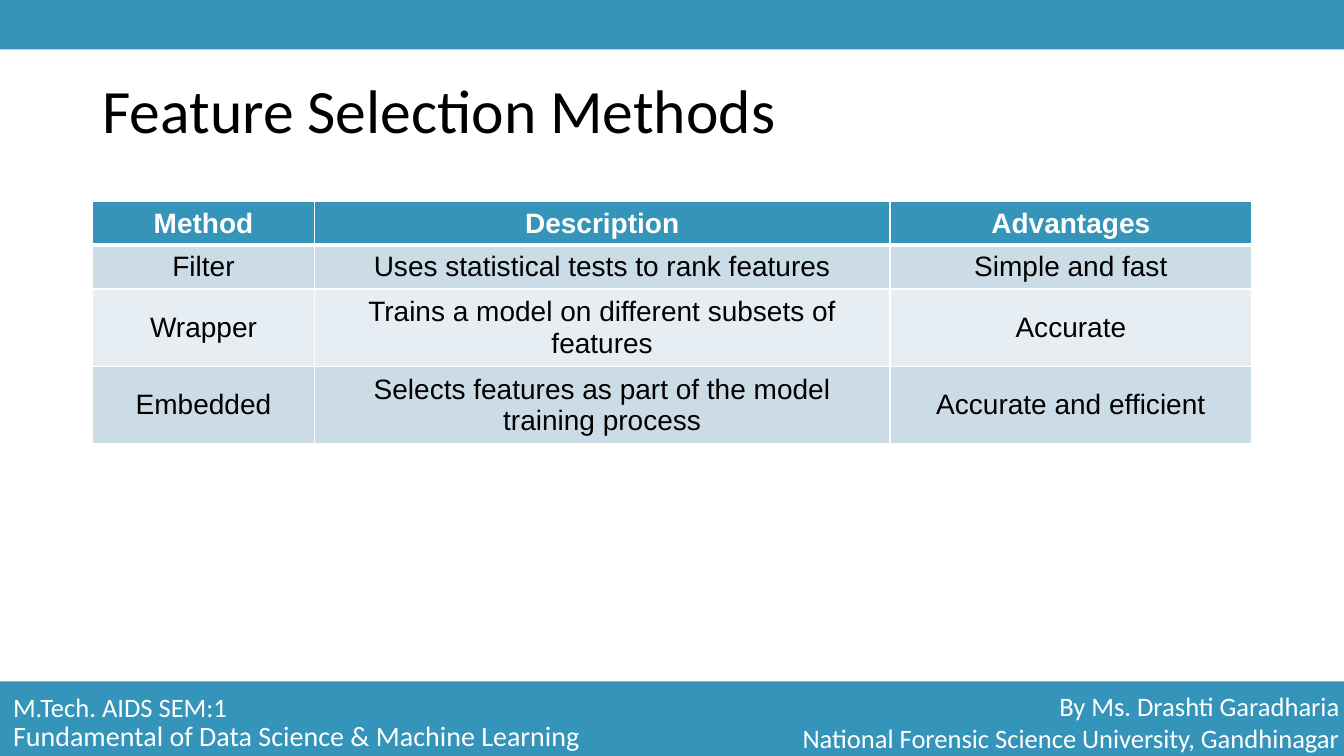
"""Builds the slide that compares feature selection methods in a table."""
from lxml import etree
from pptx import Presentation
from pptx.dml.color import RGBColor
from pptx.enum.shapes import MSO_SHAPE
from pptx.enum.text import MSO_ANCHOR, PP_ALIGN
from pptx.oxml.ns import qn
from pptx.util import Pt

RECTANGLE = MSO_SHAPE.RECTANGLE
TOP, MIDDLE = MSO_ANCHOR.TOP, MSO_ANCHOR.MIDDLE
LEFT, CENTER, RIGHT = PP_ALIGN.LEFT, PP_ALIGN.CENTER, PP_ALIGN.RIGHT

COLORS = {
    "accent": "3494BA",
    "white": "FFFFFF",
    "black": "000000",
    "odd": "CCDCE6",
    "even": "E7EEF3",
}
SLIDE_WIDTH, SLIDE_HEIGHT = 960, 540
FOOTER_HEIGHT = 53.3
COLUMN_WIDTHS = [158.4, 411.1, 258.5]
ROW_HEIGHT = 29.2
METHODS = [
    ("Method", "Description", "Advantages"),
    ("Filter", "Uses statistical tests to rank features", "Simple and fast"),
    ("Wrapper", "Trains a model on different subsets of features", "Accurate"),
    ("Embedded", "Selects features as part of the model training process",
     "Accurate and efficient"),
]


def rgb(name):
    """Return the named colour."""
    return RGBColor.from_string(COLORS[name])


def style_text(frame, font, size, color, align, bold=False):
    """Format every paragraph of a text frame."""
    for paragraph in frame.paragraphs:
        paragraph.alignment = align
        for run in paragraph.runs:
            run.font.name = font
            run.font.size = Pt(size)
            run.font.bold = bold
            run.font.color.rgb = rgb(color)


def add_band(slide, top, height):
    """Add a full-width accent band."""
    band = slide.shapes.add_shape(
        RECTANGLE, 0, Pt(top), Pt(SLIDE_WIDTH), Pt(height))
    band.shadow.inherit = False
    band.fill.solid()
    band.fill.fore_color.rgb = rgb("accent")
    band.line.fill.background()


def add_label(slide, text, box, size, color, align=LEFT, anchor=TOP):
    """Add a wrapped Calibri text box and return its frame."""
    frame = slide.shapes.add_textbox(*map(Pt, box)).text_frame
    frame.word_wrap = True
    frame.vertical_anchor = anchor
    frame.text = text
    style_text(frame, "Calibri", size, color, align)
    return frame


def add_borders(cell, bottom_width):
    """Draw white lines around a cell."""
    properties = cell._tc.get_or_add_tcPr()
    widths = {"a:lnL": 1, "a:lnR": 1, "a:lnT": 1, "a:lnB": bottom_width}
    for position, (tag, width) in enumerate(widths.items()):
        line = etree.Element(qn(tag), w=str(Pt(width)))
        fill = etree.SubElement(line, qn("a:solidFill"))
        etree.SubElement(fill, qn("a:srgbClr"), val=COLORS["white"])
        properties.insert(position, line)


def add_methods_table(slide, left, top):
    """Add the table of methods with a header and banded rows."""
    table = slide.shapes.add_table(
        len(METHODS), len(COLUMN_WIDTHS), Pt(left), Pt(top),
        Pt(sum(COLUMN_WIDTHS)), Pt(ROW_HEIGHT * len(METHODS))).table
    for column, width in zip(table.columns, COLUMN_WIDTHS):
        column.width = Pt(width)
    for row, method in enumerate(METHODS):
        header = row == 0
        table.rows[row].height = Pt(ROW_HEIGHT)
        band = "accent" if header else "odd" if row % 2 else "even"
        for column, text in enumerate(method):
            cell = table.cell(row, column)
            cell.text_frame.text = text
            cell.vertical_anchor = MIDDLE
            cell.fill.solid()
            cell.fill.fore_color.rgb = rgb(band)
            style_text(cell.text_frame, "Arial", 20,
                       "white" if header else "black", CENTER, header)
            add_borders(cell, 3 if header else 1)


def main():
    """Build and save the slide."""
    deck = Presentation()
    deck.slide_width, deck.slide_height = Pt(SLIDE_WIDTH), Pt(SLIDE_HEIGHT)
    slide = deck.slides.add_slide(deck.slide_layouts[6])

    add_band(slide, SLIDE_HEIGHT - FOOTER_HEIGHT, FOOTER_HEIGHT)
    add_band(slide, 0, 35.3)
    add_label(slide, "By Ms. Drashti Garadharia\n"
              "National Forensic Science University, Gandhinagar",
              (480, 489, 483.8, 53.3), 19, "white", RIGHT)
    add_label(slide, "M.Tech. AIDS SEM:1", (2.2, 490.3, 483.8, 20.9), 19, "white")
    add_label(slide, "Fundamental of Data Science & Machine Learning",
              (2.2, 509.8, 483.8, 20.9), 20, "white")
    title = add_label(slide, "Feature Selection Methods",
                      (66.2, 28.8, 828, 104.4), 44, "black", anchor=MIDDLE)
    title.paragraphs[0].line_spacing = 0.9
    add_methods_table(slide, 66.2, 144)

    deck.save("out.pptx")


if __name__ == "__main__":
    main()
